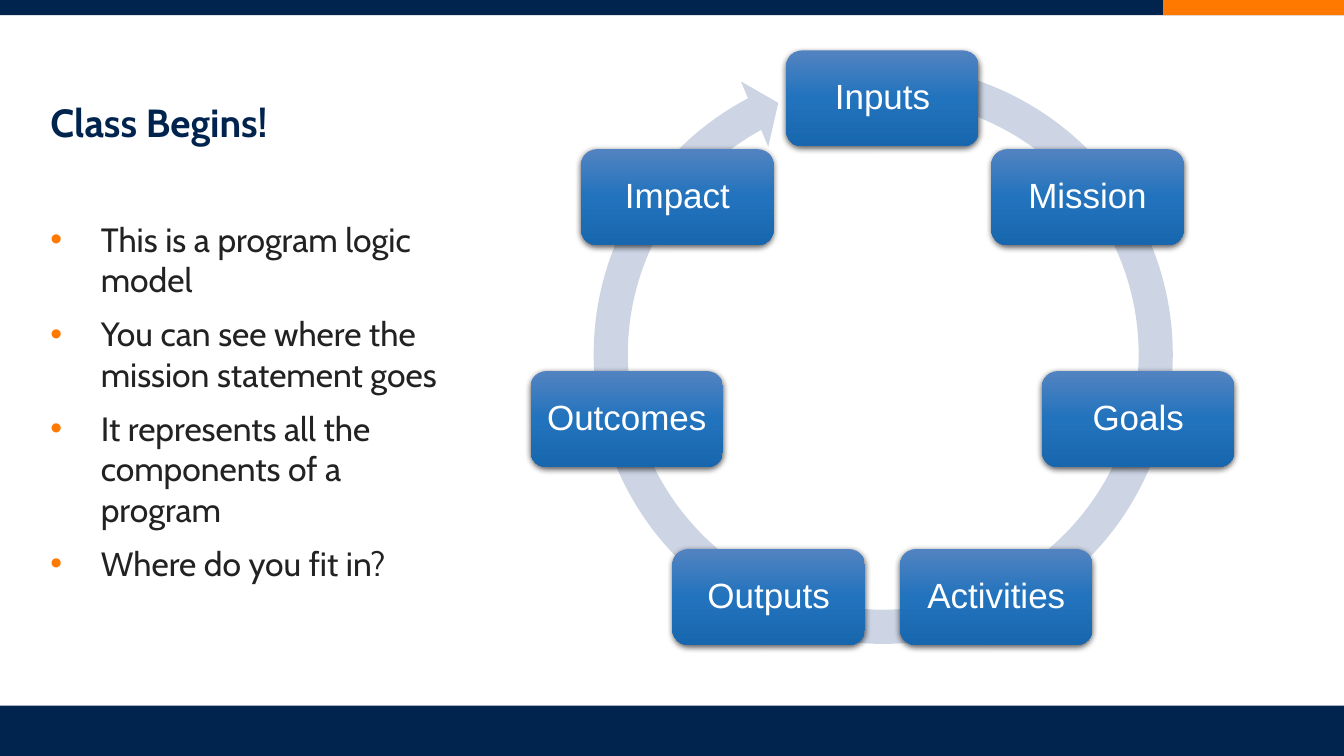
from math import cos, pi, sin

from pptx import Presentation
from pptx.dml.color import RGBColor
from pptx.enum.shapes import MSO_SHAPE
from pptx.enum.text import MSO_ANCHOR, MSO_AUTO_SIZE, PP_ALIGN
from pptx.oxml import parse_xml
from pptx.oxml.ns import nsdecls, qn
from pptx.util import Cm, Pt

TITLE = "Class Begins!"
POINTS = [
    "This is a program logic model",
    "You can see where the mission statement goes",
    "It represents all the components of a program",
    "Where do you fit in?",
]
STAGES = ["Inputs", "Mission", "Goals", "Activities", "Outputs", "Outcomes", "Impact"]

COLORS = {
    "navy": "00244E", "orange": "FF7900", "text": "222222", "white": "FFFFFF",
    "ring": "CDD5E5", "top": "5283C1", "middle": "2273BD", "bottom": "1867AE",
    "shadow": "000000",
}
HEADING_FONT, STAGE_FONT = "Cabin", "Arial"

# Lengths in centimetres
PAGE_WIDTH, PAGE_HEIGHT = 33.87, 19.05
TOP_BAR, BOTTOM_BAR, ACCENT_LEFT = 0.38, 1.27, 29.31
TITLE_AREA = (1.27, 1.27, 10.01, 3.61)
BODY_AREA = (1.27, 5.51, 10.01, 10.77)
RING_AREA = (14.5, 1.17, 15.52, 15.52)
RING_ADJUSTMENTS = (0.05544, 3.307, 145.096, 169.537, 0.05757)
CYCLE_X, CYCLE_Y, CYCLE_RADIUS = 22.24, 9.09, 6.61
STAGE_WIDTH, STAGE_HEIGHT = 4.85, 2.42
STAGE_INSET, BULLET_INDENT = 0.25, 1.27

RECTANGLE = MSO_SHAPE.RECTANGLE
ROUNDED = MSO_SHAPE.ROUNDED_RECTANGLE
CIRCULAR_ARROW = MSO_SHAPE.CIRCULAR_ARROW
MIDDLE, TOP = MSO_ANCHOR.MIDDLE, MSO_ANCHOR.TOP
LEFT, CENTER = PP_ALIGN.LEFT, PP_ALIGN.CENTER
NO_AUTOFIT = MSO_AUTO_SIZE.NONE


def rgb(name):
    return RGBColor.from_string(COLORS[name])


def add_shape(page, kind, area, color):
    shape = page.shapes.add_shape(kind, *map(Cm, area))
    shape.fill.solid()
    shape.fill.fore_color.rgb = rgb(color)
    shape.line.fill.background()
    shape.shadow.inherit = False
    return shape


def place(holder, area):
    holder.left, holder.top, holder.width, holder.height = map(Cm, area)


def prepare_frame(frame, anchor, inset=0):
    frame.word_wrap = True
    frame.auto_size = NO_AUTOFIT
    frame.vertical_anchor = anchor
    frame.margin_left = frame.margin_right = Cm(inset)
    frame.margin_top = frame.margin_bottom = Cm(inset)


def write(para, text, *, size, font, color, bold=False, align=LEFT, spacing=1.0, before=0):
    para.alignment = align
    para.line_spacing = spacing
    para.space_before = Pt(before)
    span = para.add_run()
    span.text = text
    span.font.size = Pt(size)
    span.font.name = font
    span.font.bold = bold
    span.font.color.rgb = rgb(color)


def add_bullet(para):
    properties = para._p.get_or_add_pPr()
    properties.set("marL", str(Cm(BULLET_INDENT)))
    properties.set("indent", str(-Cm(BULLET_INDENT)))
    for xml in (
        f'<a:buClr {nsdecls("a")}><a:srgbClr val="{COLORS["orange"]}"/></a:buClr>',
        f'<a:buFont {nsdecls("a")} typeface="Arial"/>',
        f'<a:buChar {nsdecls("a")} char="•"/>',
    ):
        properties.append(parse_xml(xml))


def shade(shape):
    """Give the shape a three-stop vertical gradient and a soft shadow below."""
    shape.fill.gradient()
    shape.fill.gradient_angle = 270
    stops = "".join(
        f'<a:gs pos="{position}"><a:srgbClr val="{COLORS[name]}"/></a:gs>'
        for position, name in ((0, "top"), (50000, "middle"), (100000, "bottom"))
    )
    properties = shape._element.spPr
    old_stops = properties.find(".//" + qn("a:gsLst"))
    old_stops.getparent().replace(
        old_stops, parse_xml(f'<a:gsLst {nsdecls("a")}>{stops}</a:gsLst>'))
    properties.find(qn("a:effectLst")).append(parse_xml(
        f'<a:outerShdw {nsdecls("a")} blurRad="{Pt(4.5)}" dist="{Pt(1.5)}" '
        f'dir="5400000" rotWithShape="0"><a:srgbClr val="{COLORS["shadow"]}">'
        '<a:alpha val="63000"/></a:srgbClr></a:outerShdw>'))


def add_bars(page):
    add_shape(page, RECTANGLE, (0, 0, PAGE_WIDTH, TOP_BAR), "navy")
    add_shape(page, RECTANGLE, (ACCENT_LEFT, 0, PAGE_WIDTH - ACCENT_LEFT, TOP_BAR), "orange")
    add_shape(page, RECTANGLE, (0, PAGE_HEIGHT - BOTTOM_BAR, PAGE_WIDTH, BOTTOM_BAR), "navy")


def add_texts(page):
    title, body = page.shapes.title, page.placeholders[1]
    place(title, TITLE_AREA)
    prepare_frame(title.text_frame, MIDDLE)
    write(title.text_frame.paragraphs[0], TITLE, size=28, font=HEADING_FONT,
          color="navy", bold=True)

    place(body, BODY_AREA)
    frame = body.text_frame
    prepare_frame(frame, TOP)
    for index, point in enumerate(POINTS):
        para = frame.add_paragraph() if index else frame.paragraphs[0]
        add_bullet(para)
        write(para, point, size=24, font=HEADING_FONT, color="text",
              before=10 if index else 0)


def add_cycle(page):
    ring = add_shape(page, CIRCULAR_ARROW, RING_AREA, "ring")
    for index, value in enumerate(RING_ADJUSTMENTS):
        ring.adjustments[index] = value

    for index, stage in enumerate(STAGES):
        angle = 2 * pi * index / len(STAGES)
        left = CYCLE_X + CYCLE_RADIUS * sin(angle) - STAGE_WIDTH / 2
        top = CYCLE_Y - CYCLE_RADIUS * cos(angle) - STAGE_HEIGHT / 2
        box = add_shape(page, ROUNDED, (left, top, STAGE_WIDTH, STAGE_HEIGHT), "middle")
        shade(box)
        prepare_frame(box.text_frame, MIDDLE, STAGE_INSET)
        write(box.text_frame.paragraphs[0], stage, size=25, font=STAGE_FONT,
              color="white", align=CENTER, spacing=0.9)


def main():
    deck = Presentation()
    deck.slide_width, deck.slide_height = Cm(PAGE_WIDTH), Cm(PAGE_HEIGHT)
    page = deck.slides.add_slide(deck.slide_layouts[1])
    add_bars(page)
    add_texts(page)
    add_cycle(page)
    deck.save("out.pptx")


if __name__ == "__main__":
    main()
